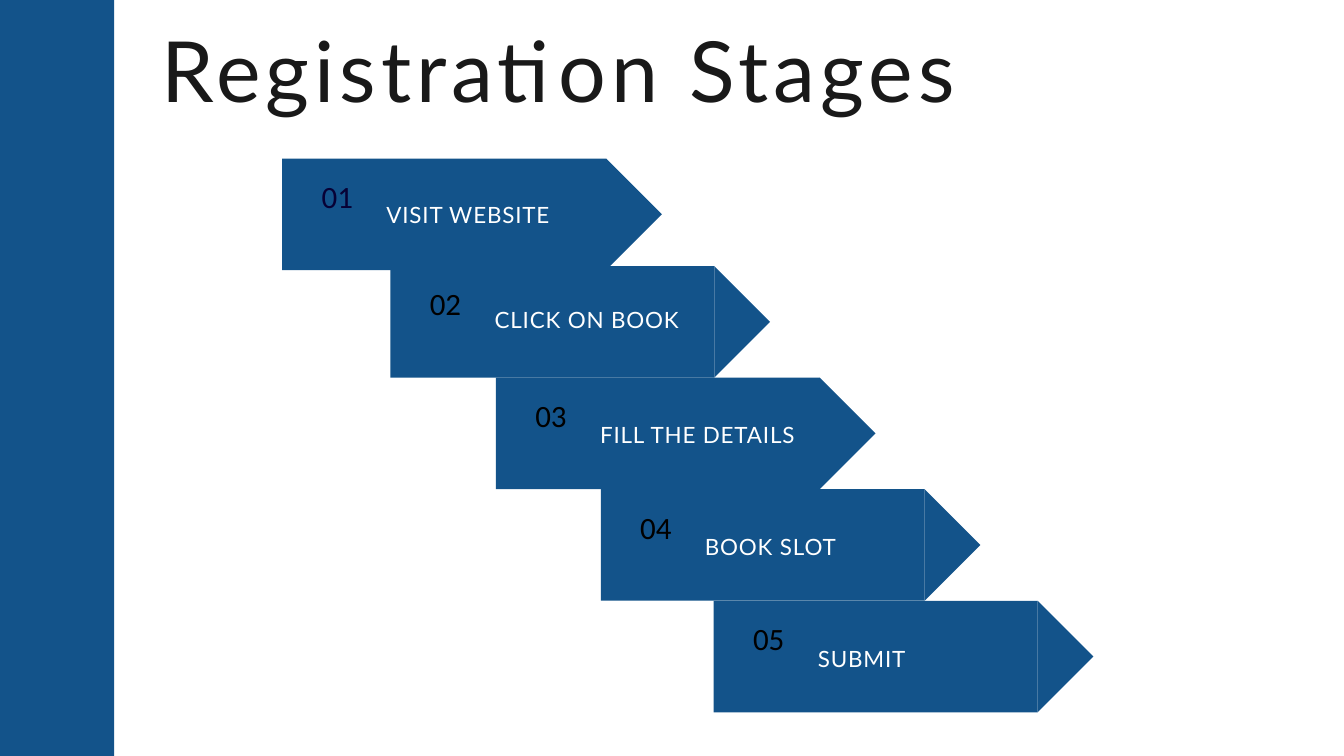
from lxml import etree
from pptx import Presentation
from pptx.dml.color import RGBColor
from pptx.enum import shapes, text
from pptx.util import Inches, Pt

BLUE = "13538A"


def paint(shape, color):
    shape.shadow.inherit = False
    shape.fill.solid()
    shape.fill.fore_color.rgb = RGBColor.from_string(color)
    shape.line.fill.background()


def write(words, left, top, width, height, font, size, color, leading, spacing=0, align=text.PP_ALIGN.LEFT):
    box = slide.shapes.add_textbox(Inches(left), Inches(top), Inches(width), Inches(height))
    frame = box.text_frame
    frame.word_wrap = True
    frame.margin_left = frame.margin_right = frame.margin_top = frame.margin_bottom = 0
    frame.text = words
    paragraph = frame.paragraphs[0]
    paragraph.alignment = align
    paragraph.line_spacing = Pt(leading)
    run = paragraph.runs[0]
    run.font.name = font
    run.font.size = Pt(size)
    run.font.color.rgb = RGBColor.from_string(color)
    if spacing:
        run.font._element.set("spc", str(round(spacing * 100)))


deck = Presentation()
deck.slide_width = Inches(20)
deck.slide_height = Inches(11.25)
slide = deck.slides.add_slide(deck.slide_layouts[6])

sidebar = slide.shapes.add_shape(shapes.MSO_SHAPE.RECTANGLE, 0, 0, Inches(1.7), Inches(11.25))
paint(sidebar, BLUE)
write("Registration Stages", 2.4, 0.23, 16.4, 2.78, "Lato", 90.3, "191919", 111.1, 5.4)

bar_width, bar_height, tip_width = 4.82, 1.66, 0.83
stages = [
    ("VISIT WEBSITE", 4.2, 2.36, 2.97, "070135"),
    ("CLICK ON BOOK", 5.81, 3.96, 4.52, "000000"),
    ("FILL THE DETAILS", 7.38, 5.62, 6.24, "000000"),
    ("BOOK SLOT", 8.94, 7.28, 7.91, "000000"),
    ("SUBMIT", 10.62, 8.94, 9.57, "000000"),
]

for number, (stage, left, top, stage_top, number_color) in enumerate(stages, 1):
    bar = slide.shapes.add_shape(
        shapes.MSO_SHAPE.RECTANGLE, Inches(left), Inches(top), Inches(bar_width), Inches(bar_height))
    paint(bar, BLUE)

    right = left + bar_width
    outline = slide.shapes.build_freeform(Inches(right), Inches(top))
    outline.add_line_segments([
        (Inches(right + tip_width), Inches(top + bar_height / 2)),
        (Inches(right), Inches(top + bar_height)),
    ])
    paint(outline.convert_to_shape(), BLUE)

    write(f"{number:02}", left + 0.53, top + 0.23, 0.58, 1.17, "Calibri", 33.2, number_color, 43.5,
          align=text.PP_ALIGN.CENTER)
    write(stage, left + 1.55, stage_top, 3.26, 0.41, "Lato", 24, "FFFFFF", 30.9, 0.9)

deck.save("out.pptx")
